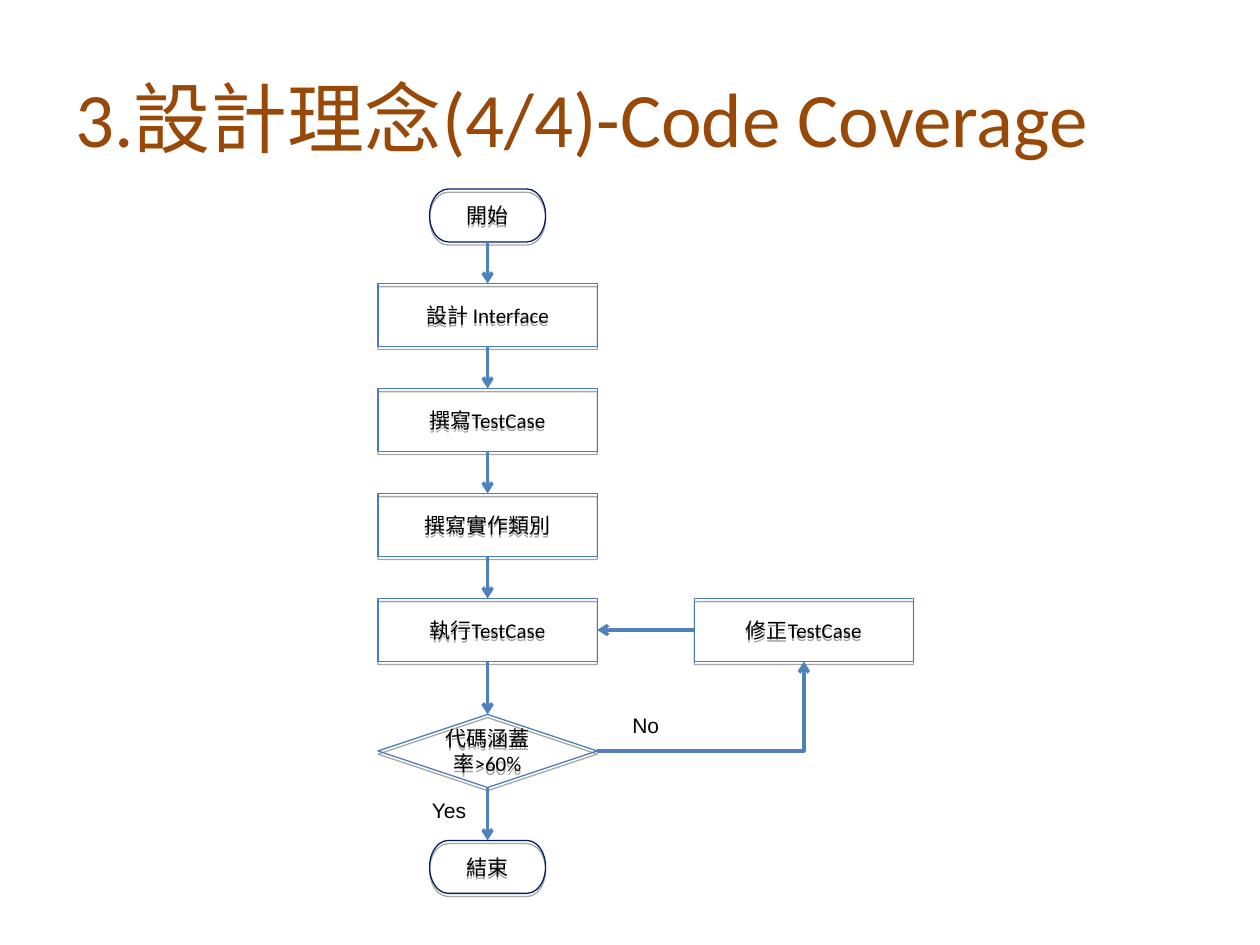
from lxml import etree
from pptx import Presentation
from pptx import util as u
from pptx.dml.color import RGBColor
from pptx.enum import shapes, text
from pptx.oxml import ns

BROWN, NAVY, BLUE, ARROW, BLACK = "984807", "002060", "4A7EBB", "4F81BD", "000000"


def colour(value):
    return RGBColor.from_string(value)


def child(parent, tag, **attributes):
    return etree.SubElement(parent, ns.qn(tag), attributes)


class FlowSlide:
    """Holds the flowchart style and the slide being drawn."""

    size = 12
    kinds = shapes.MSO_SHAPE

    def __init__(self, slide):
        self.slide = slide

    def add_words(self, frame, words, size, font, ink, align):
        frame.word_wrap = True
        paragraph = frame.paragraphs[0]
        paragraph.alignment = align
        run = paragraph.add_run()
        run.text = words
        run.font.size = u.Pt(size)
        run.font.name = font
        run.font.color.rgb = colour(ink)

    def label(self, words, left, top, width, height, size=size, font="Arial",
              ink=BLACK, anchor=text.MSO_ANCHOR.TOP):
        box = self.slide.shapes.add_textbox(*map(u.Inches, (left, top, width, height)))
        box.text_frame.vertical_anchor = anchor
        self.add_words(box.text_frame, words, size, font, ink, text.PP_ALIGN.LEFT)

    def node(self, words, centre, top, width=1.74, height=0.5,
             kind=kinds.RECTANGLE, line=BLUE):
        shape = self.slide.shapes.add_shape(
            kind, *map(u.Inches, (centre - width / 2, top, width, height)))
        shape.fill.background()
        shape.line.color.rgb = colour(line)
        shape.line.width = u.Pt(0.75)
        self.drop_shadow(shape)
        self.add_words(shape.text_frame, words, self.size, "Calibri", BLACK,
                       text.PP_ALIGN.CENTER)

    def terminator(self, words, centre, top):
        self.node(words, centre, top, 0.92, 0.42,
                  self.kinds.FLOWCHART_TERMINATOR, NAVY)

    def decision(self, words, centre, top):
        self.node(words, centre, top, height=0.58, kind=self.kinds.FLOWCHART_DECISION)

    def drop_shadow(self, shape):
        shape.shadow.inherit = False
        effects = shape._element.spPr.find(ns.qn("a:effectLst"))
        shadow = child(effects, "a:outerShdw", blurRad="0", dist=str(u.Pt(1.8)),
                       dir="5400000", rotWithShape="0")
        child(child(shadow, "a:srgbClr", val=BLACK), "a:alpha", val="35000")

    def arrow(self, start, end, bent=False):
        kind = shapes.MSO_CONNECTOR.ELBOW if bent else shapes.MSO_CONNECTOR.STRAIGHT
        connector = self.slide.shapes.add_connector(kind, *map(u.Inches, start + end))
        connector.line.color.rgb = colour(ARROW)
        connector.line.width = u.Pt(2)
        properties = connector._element.spPr
        if bent:  # a single corner
            properties.find(ns.qn("a:prstGeom")).set("prst", "bentConnector2")
        child(properties.find(ns.qn("a:ln")), "a:tailEnd", type="arrow")
        child(properties, "a:effectLst")


def main():
    presentation = Presentation()
    presentation.slide_width = u.Inches(10)
    presentation.slide_height = u.Inches(7.5)
    flow = FlowSlide(presentation.slides.add_slide(presentation.slide_layouts[6]))

    # Title
    flow.label("3.設計理念(4/4)-Code Coverage", 0.5, 0.3, 9, 1.25, size=44,
               font="Calibri", ink=BROWN, anchor=text.MSO_ANCHOR.MIDDLE)

    # Main column
    main_x, fix_x, half = 3.87, 6.38, 0.87
    flow.terminator("開始", main_x, 1.5)
    steps = ["設計 Interface", "撰寫TestCase", "撰寫實作類別", "執行TestCase"]
    step_tops = [2.25 + index * 2.5 / 3 for index in range(len(steps))]
    for words, top in zip(steps, step_tops):
        flow.node(words, main_x, top)
    flow.decision("代碼涵蓋率>60%", main_x, 5.67)
    flow.terminator("結束", main_x, 6.67)

    # Arrows down the column, from each bottom edge to the next top edge
    bottoms = [1.92] + [top + 0.5 for top in step_tops] + [6.25]
    tops = step_tops + [5.67, 6.67]
    for bottom, top in zip(bottoms, tops):
        flow.arrow((main_x, bottom), (main_x, top))

    # Correction loop
    flow.node("修正TestCase", fix_x, step_tops[-1])
    flow.arrow((main_x + half, 5.96), (fix_x, 5.25), bent=True)
    flow.arrow((fix_x - half, 5), (main_x + half, 5))

    # Branch labels
    flow.label("Yes", 3.33, 6.28, 0.5, 0.3)
    flow.label("No", 4.92, 5.61, 0.5, 0.3)

    presentation.save("out.pptx")


if __name__ == "__main__":
    main()
